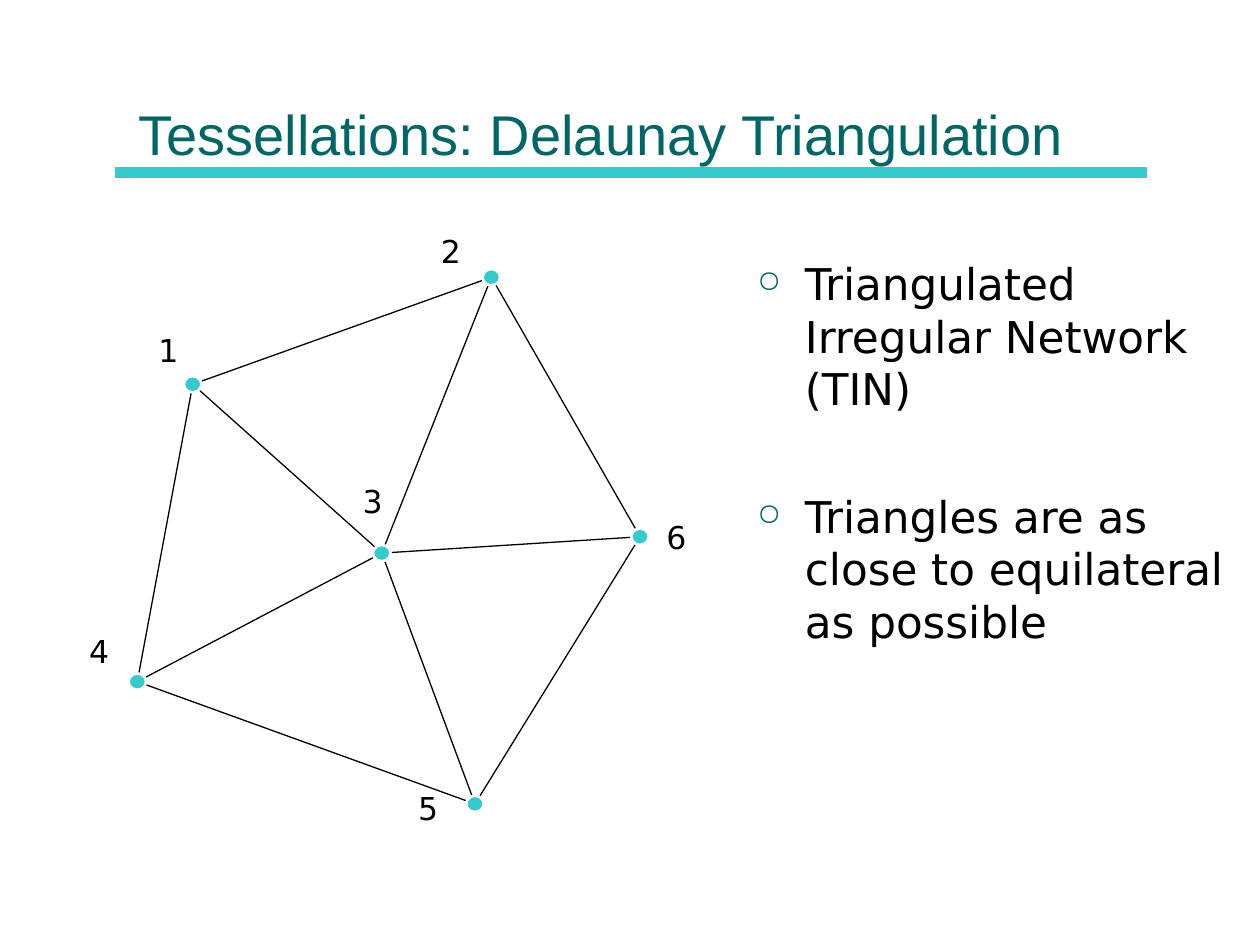
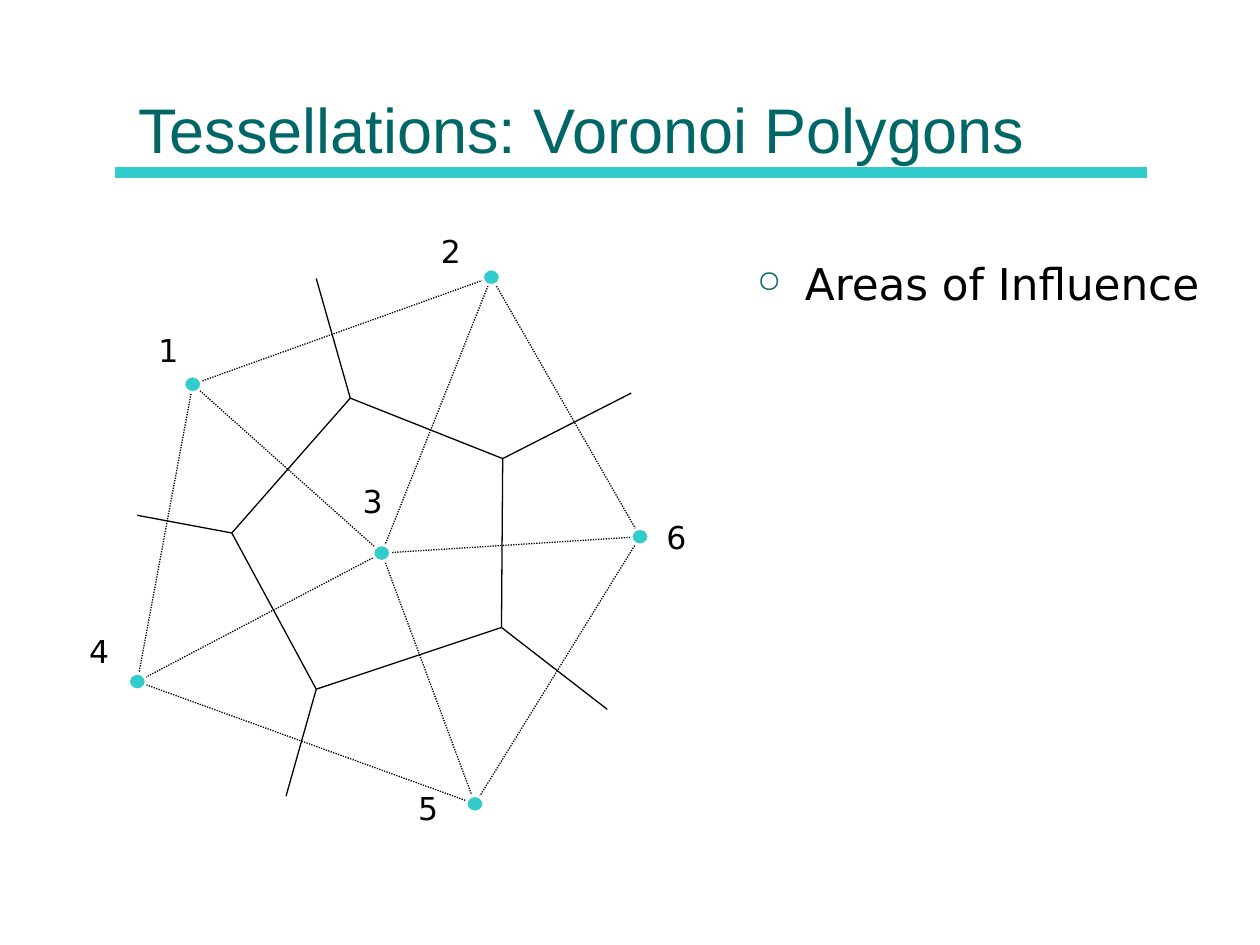
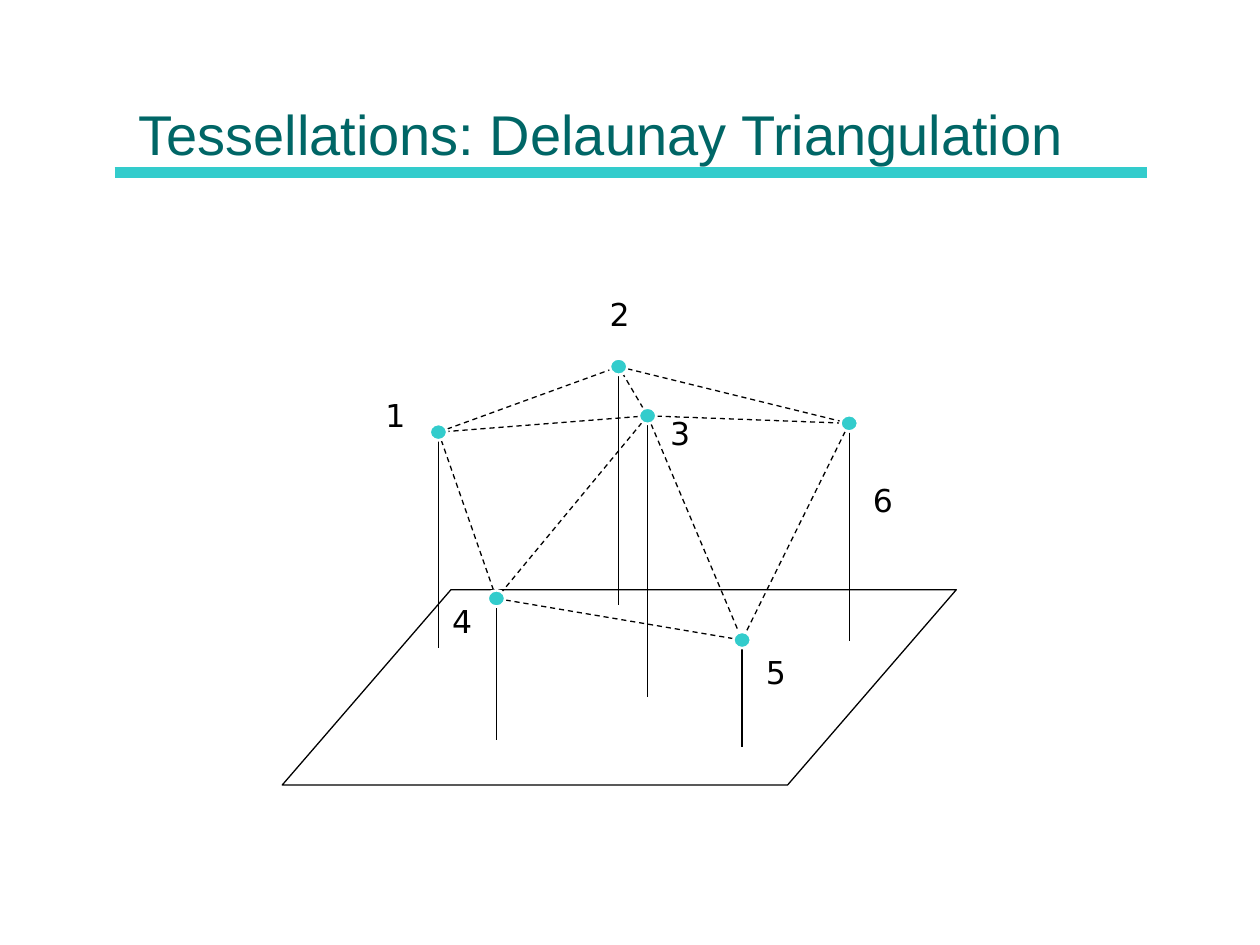
"""Builds three slides on Delaunay triangulation and Voronoi polygons."""
from dataclasses import dataclass
from typing import NamedTuple, Optional

from lxml import etree
from pptx import Presentation
from pptx import util as u
from pptx.dml.color import RGBColor
from pptx.enum import dml, shapes, text
from pptx.oxml import ns


@dataclass(frozen=True)
class Theme:
    teal: RGBColor = RGBColor(0x00, 0x66, 0x66)
    aqua: RGBColor = RGBColor(0x33, 0xCC, 0xCC)
    ink: RGBColor = RGBColor(0x00, 0x00, 0x00)
    paper: RGBColor = RGBColor(0xFF, 0xFF, 0xFF)
    title_font: str = "Arial"
    body_font: str = "DejaVu Sans"
    body_size: float = 25
    label_size: float = 18
    thin: float = 0.75
    dot_outline: float = 1.5
    band: float = 6
    bullet_gap: float = 43


class Point(NamedTuple):
    x: float
    y: float


class Site(NamedTuple):
    name: str
    at: Point
    label: Point
    foot: Optional[float] = None


class Segment(NamedTuple):
    start: Point
    end: Point


THEME = Theme()
DOT_WIDTH, DOT_HEIGHT = 0.14, 0.13
LABEL_WIDTH, LABEL_HEIGHT = 0.34, 0.4

RIM = "12654"
HUB = "3"
EDGES = [*zip(RIM, RIM[1:] + RIM[0]), *((HUB, name) for name in RIM)]

PLAN_SITES = [
    Site("1", Point(1.53, 3.05), Point(1.16, 2.58)),
    Site("2", Point(3.9, 2.2), Point(3.4, 1.79)),
    Site("3", Point(3.03, 4.39), Point(2.78, 3.78)),
    Site("4", Point(1.09, 5.41), Point(0.61, 4.97)),
    Site("5", Point(3.77, 6.38), Point(3.22, 6.21)),
    Site("6", Point(5.08, 4.26), Point(5.19, 4.06)),
]
RAISED_SITES = [
    Site("1", Point(3.48, 3.43), Point(2.96, 3.09), 5.14),
    Site("2", Point(4.91, 2.91), Point(4.74, 2.29), 4.8),
    Site("3", Point(5.14, 3.3), Point(5.22, 3.24), 5.53),
    Site("4", Point(3.94, 4.75), Point(3.49, 4.73), 5.87),
    Site("5", Point(5.89, 5.08), Point(5.98, 5.13), 5.93),
    Site("6", Point(6.74, 3.36), Point(6.83, 3.77), 5.09),
]
VORONOI_CORNERS = [Point(2.78, 3.16), Point(3.99, 3.64), Point(3.98, 4.98),
                   Point(2.51, 5.47), Point(1.84, 4.23)]
VORONOI_RAY_ENDS = [Point(2.51, 2.21), Point(5.01, 3.12), Point(4.82, 5.63),
                    Point(2.27, 6.32), Point(1.09, 4.09)]


def draw_line(slide, segment: Segment, color: RGBColor = THEME.ink,
              width: float = THEME.thin, dash=None) -> None:
    (x1, y1), (x2, y2) = segment
    line = slide.shapes.add_connector(
        shapes.MSO_CONNECTOR.STRAIGHT,
        u.Inches(x1), u.Inches(y1), u.Inches(x2), u.Inches(y2))
    line.line.color.rgb = color
    line.line.width = u.Pt(width)
    if dash is not None:
        line.line.dash_style = dash
    etree.SubElement(line._element.spPr, ns.qn("a:effectLst"))


def add_box(slide, left: float, top: float, width: float, height: float,
            wrap: bool = True):
    box = slide.shapes.add_textbox(
        u.Inches(left), u.Inches(top), u.Inches(width), u.Inches(height))
    box.text_frame.word_wrap = wrap
    return box.text_frame


def style(para, font: str, size: float, color: RGBColor) -> None:
    for span in para.runs:
        span.font.name = font
        span.font.size = u.Pt(size)
        span.font.color.rgb = color


def add_titled_slide(deck, title: str, size: float):
    slide = deck.slides.add_slide(deck.slide_layouts[6])
    draw_line(slide, Segment(Point(0.91, 1.37), Point(9.1, 1.37)),
              THEME.aqua, THEME.band)
    frame = add_box(slide, 1, 0.12, 8, 1.25)
    frame.vertical_anchor = text.MSO_ANCHOR.BOTTOM
    frame.text = title
    style(frame.paragraphs[0], THEME.title_font, size, THEME.teal)
    return slide


def add_bullet(para) -> None:
    props = para._p.get_or_add_pPr()
    props.set("marL", str(u.Inches(0.38)))
    props.set("indent", str(-u.Inches(0.38)))
    color = etree.SubElement(props, ns.qn("a:buClr"))
    etree.SubElement(color, ns.qn("a:srgbClr"), val=str(THEME.teal))
    etree.SubElement(props, ns.qn("a:buSzPct"), val="70000")
    etree.SubElement(props, ns.qn("a:buChar"), char="○")


def draw_bullets(slide, items: list[str]) -> None:
    frame = add_box(slide, 5.91, 1.99, 3.92, 4.5)
    for index, item in enumerate(items):
        para = frame.add_paragraph() if index else frame.paragraphs[0]
        para.text = item
        add_bullet(para)
        if index:
            para.space_before = u.Pt(THEME.bullet_gap)
        style(para, THEME.body_font, THEME.body_size, THEME.ink)


def draw_site(slide, site: Site) -> None:
    dot = slide.shapes.add_shape(
        shapes.MSO_SHAPE.OVAL,
        u.Inches(site.at.x - DOT_WIDTH / 2), u.Inches(site.at.y - DOT_HEIGHT / 2),
        u.Inches(DOT_WIDTH), u.Inches(DOT_HEIGHT))
    dot.shadow.inherit = False
    dot.fill.solid()
    dot.fill.fore_color.rgb = THEME.aqua
    dot.line.color.rgb = THEME.paper
    dot.line.width = u.Pt(THEME.dot_outline)
    frame = add_box(slide, *site.label, LABEL_WIDTH, LABEL_HEIGHT, wrap=False)
    frame.auto_size = text.MSO_AUTO_SIZE.SHAPE_TO_FIT_TEXT
    frame.text = site.name
    style(frame.paragraphs[0], THEME.body_font, THEME.label_size, THEME.ink)


def draw_network(slide, sites: list[Site], dash=None) -> None:
    places = {site.name: site.at for site in sites}
    for site in sites:
        if site.foot is not None:
            draw_line(slide, Segment(site.at, Point(site.at.x, site.foot)))
    for start, end in EDGES:
        draw_line(slide, Segment(places[start], places[end]), dash=dash)
    for site in sites:
        draw_site(slide, site)


def draw_voronoi(slide) -> None:
    following = VORONOI_CORNERS[1:] + VORONOI_CORNERS[:1]
    for corner, neighbour, ray_end in zip(VORONOI_CORNERS, following, VORONOI_RAY_ENDS):
        draw_line(slide, Segment(corner, neighbour))
        draw_line(slide, Segment(corner, ray_end))


def draw_ground(slide) -> None:
    ground = slide.shapes.add_shape(
        shapes.MSO_SHAPE.PARALLELOGRAM,
        u.Inches(2.24), u.Inches(4.68), u.Inches(5.35), u.Inches(1.55))
    ground.adjustments[0] = 0.864
    ground.shadow.inherit = False
    ground.fill.background()
    ground.line.color.rgb = THEME.ink
    ground.line.width = u.Pt(THEME.thin)


def main() -> None:
    deck = Presentation()
    deck.slide_width, deck.slide_height = u.Inches(10), u.Inches(7.5)

    plan = add_titled_slide(deck, "Tessellations: Delaunay Triangulation", 32)
    draw_bullets(plan, ["Triangulated Irregular Network (TIN)",
                        "Triangles are as close to equilateral as possible"])
    draw_network(plan, PLAN_SITES)

    voronoi = add_titled_slide(deck, "Tessellations: Voronoi Polygons", 36)
    draw_bullets(voronoi, ["Areas of Influence"])
    draw_network(voronoi, PLAN_SITES, dml.MSO_LINE.ROUND_DOT)
    draw_voronoi(voronoi)

    relief = add_titled_slide(deck, "Tessellations: Delaunay Triangulation", 32)
    draw_ground(relief)
    draw_network(relief, RAISED_SITES, dml.MSO_LINE.DASH)

    deck.save("out.pptx")


if __name__ == "__main__":
    main()
